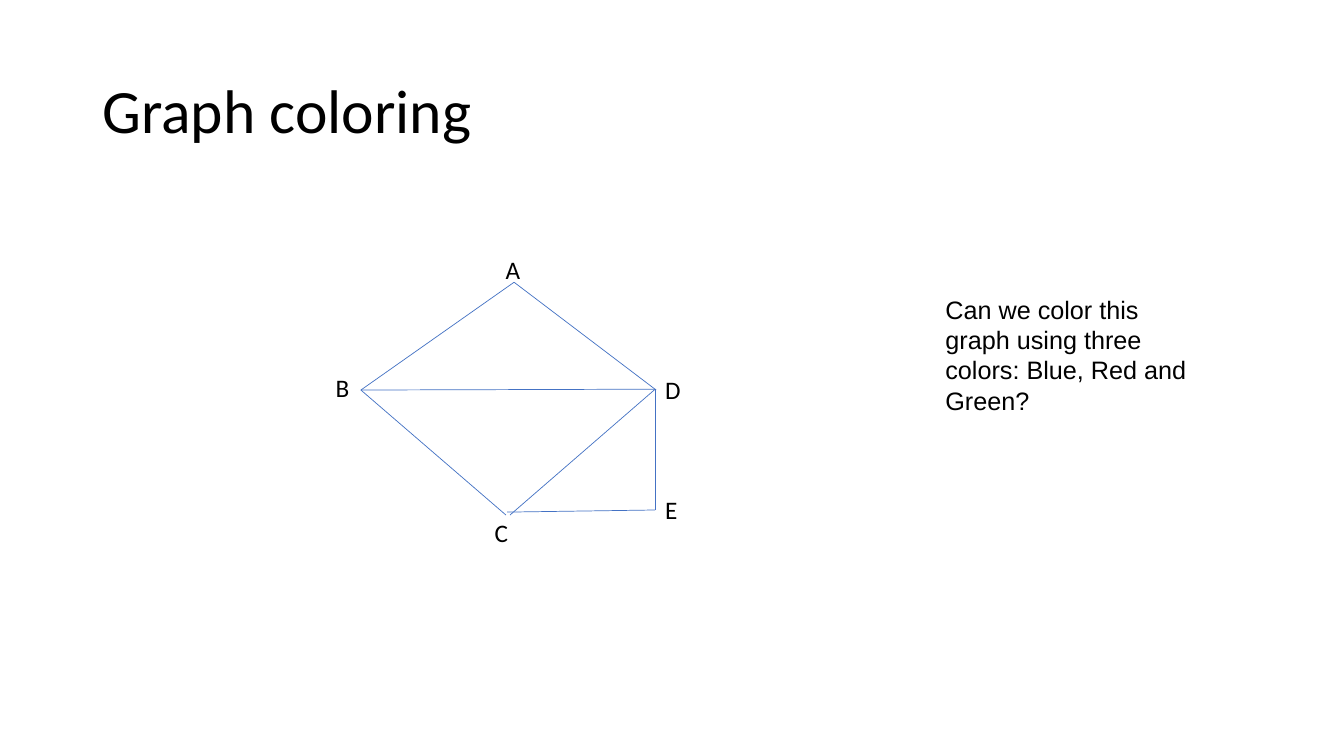
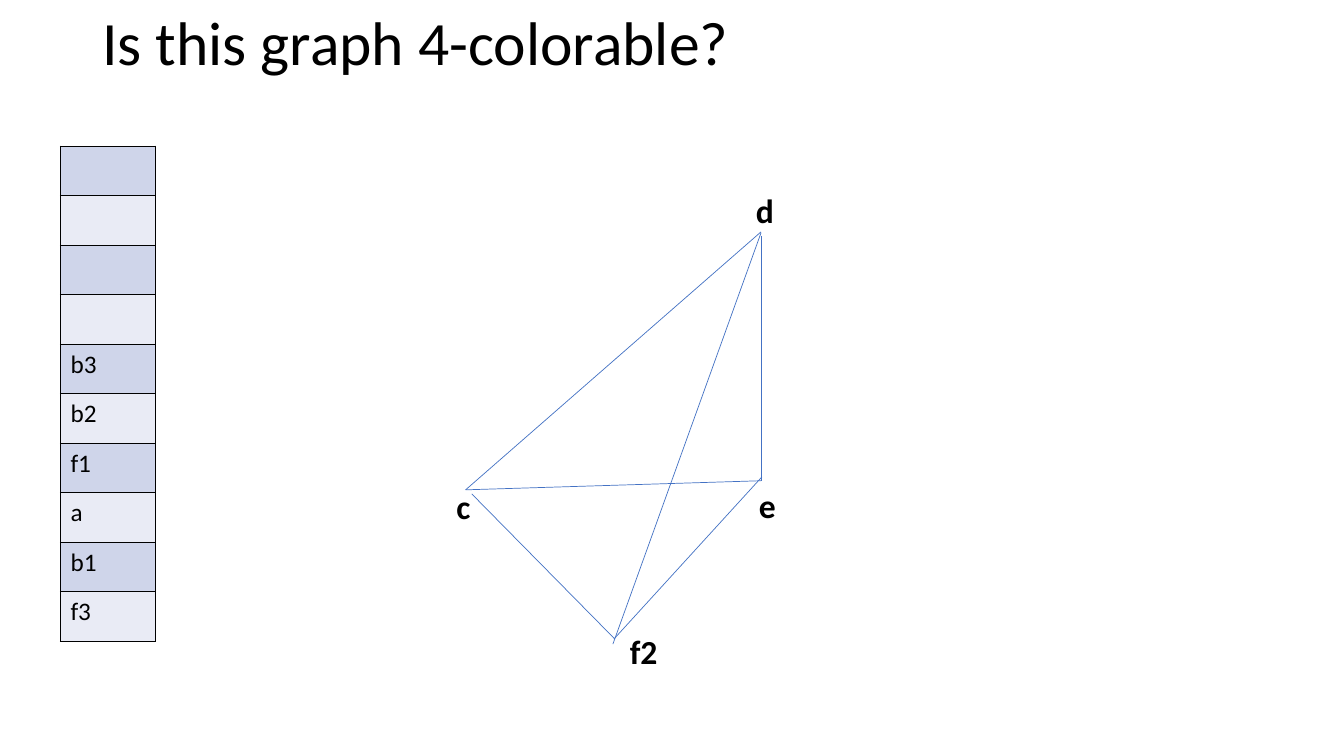
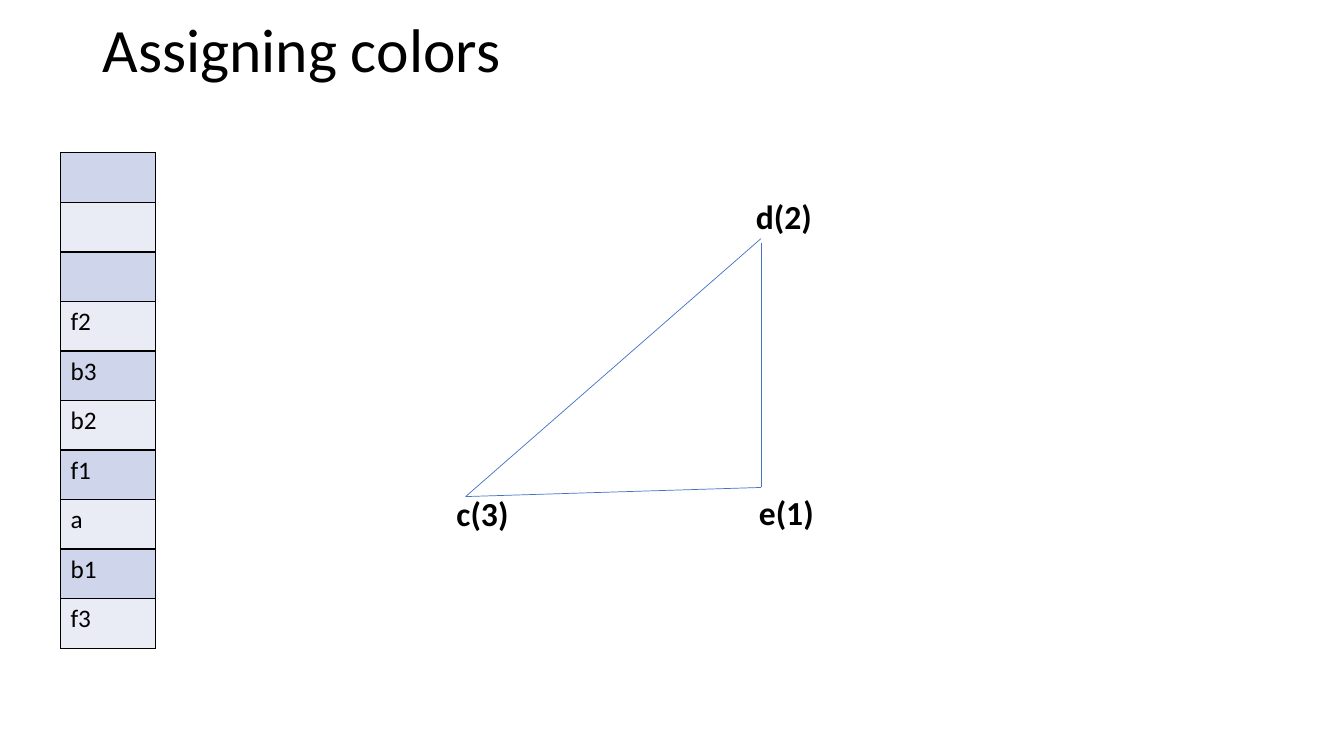
from dataclasses import dataclass
from lxml.etree import SubElement
from pptx import Presentation
from pptx.dml.color import RGBColor
from pptx.enum.shapes import MSO_CONNECTOR
from pptx.enum.text import MSO_ANCHOR, MSO_AUTO_SIZE, PP_ALIGN
from pptx.oxml.ns import qn
from pptx.util import Pt


@dataclass(frozen=True)
class Theme:
    ink: str = "000000"
    edge: str = "4472C4"
    bands: tuple = ("CFD5EA", "E9EBF5")
    font: str = "Calibri"
    prose: str = "Arial"
    title: int = 44
    node: int = 24
    body: int = 18
    rule: float = 0.5
    border: int = 1


THEME = Theme()
DROP = 4.8  # how much lower the last slide sits than the one before

# Nodes are (x, y) corners of labels; edges are (x1, y1, x2, y2)
FIVE_NODES = {"A": (354.2, 177.8), "B": (232.6, 262.1), "C": (346.3, 365.8),
              "D": (468, 263.5), "E": (468, 349.9)}
FIVE_EDGES = [
    (257.8, 278.6, 367.2, 201.6),
    (367.2, 201.6, 468.7, 278.6),
    (257.8, 278.6, 361.4, 367.9),
    (257.8, 278.6, 468, 278),
    (364.3, 367.9, 468, 278),
    (362.2, 365.8, 468, 364.3),
    (468, 278, 468, 364.3),
]
CORE_NODES = {"d": (532.8, 131.8), "e": (535, 342.7), "c": (319, 343.4)}
CORE_EDGES = [
    (332.6, 349.9, 543.6, 165.6),
    (543.6, 168.5, 543.6, 343.4),
    (332.6, 349.9, 543.6, 343.4),
]
LAST_NODE = {"f2": (442.8, 447.1)}
LAST_EDGES = [
    (543.6, 166.3, 437.8, 460.1),
    (337, 352.8, 439.2, 456.5),
    (544.3, 340.6, 438.5, 456.5),
]
STACK = ["b3", "b2", "f1", "a", "b1", "f3"]
DEPTH = 10


def style(frame, size, font=THEME.font, bold=False):
    for para in frame.paragraphs:
        for run in para.runs:
            run.font.size = Pt(size)
            run.font.name = font
            run.font.bold = bold
            run.font.color.rgb = RGBColor.from_string(THEME.ink)


def add_slide(deck, text, top):
    slide = deck.slides.add_slide(deck.slide_layouts[5])
    title = slide.shapes.title
    title.left, title.top = Pt(66), Pt(top)
    title.width, title.height = Pt(828), Pt(104.4)
    frame = title.text_frame
    frame.text = text
    frame.auto_size = MSO_AUTO_SIZE.NONE
    frame.vertical_anchor = MSO_ANCHOR.MIDDLE
    frame.paragraphs[0].alignment = PP_ALIGN.LEFT
    frame.paragraphs[0].line_spacing = 0.9
    style(frame, THEME.title)
    return slide


def add_text(slide, text, x, y, wide, high, size, **look):
    box = slide.shapes.add_textbox(Pt(x), Pt(y), Pt(wide), Pt(high))
    frame = box.text_frame
    frame.word_wrap = True
    frame.text = text
    style(frame, size, **look)


def add_edge(slide, x1, y1, x2, y2):
    line = slide.shapes.add_connector(
        MSO_CONNECTOR.STRAIGHT, Pt(x1), Pt(y1), Pt(x2), Pt(y2))
    line.line.color.rgb = RGBColor.from_string(THEME.edge)
    line.line.width = Pt(THEME.rule)
    SubElement(line._element.spPr, qn("a:effectLst"))


def add_graph(slide, nodes, edges, wide, high, size, bold=False, drop=0):
    for x1, y1, x2, y2 in edges:
        add_edge(slide, x1, y1 + drop, x2, y2 + drop)
    for name, (x, y) in nodes.items():
        add_text(slide, name, x, y + drop, wide, high, size, bold=bold)


def add_border(cell):
    props = cell._tc.get_or_add_tcPr()
    for side in ("a:lnL", "a:lnR", "a:lnT", "a:lnB"):
        line = SubElement(props, qn(side), w=str(Pt(THEME.border)))
        fill = SubElement(line, qn("a:solidFill"))
        SubElement(fill, qn("a:srgbClr"), val=THEME.ink)


def add_stack(slide, items, drop=0):
    """Draw the stack as one column, filled from the bottom up."""
    row = 35.4
    table = slide.shapes.add_table(
        DEPTH, 1, Pt(43.2), Pt(104.4 + drop), Pt(67.7), Pt(row * DEPTH)).table
    table.first_row = table.horz_banding = False
    texts = [""] * (DEPTH - len(items)) + items
    for i, text in enumerate(texts):
        table.rows[i].height = Pt(row)
        cell = table.cell(i, 0)
        add_border(cell)
        cell.fill.solid()
        cell.fill.fore_color.rgb = RGBColor.from_string(THEME.bands[i % 2])
        if text:
            cell.text_frame.text = text
            style(cell.text_frame, THEME.body)


def main():
    deck = Presentation()
    deck.slide_width, deck.slide_height = Pt(960), Pt(540)

    slide = add_slide(deck, "Graph coloring", 28.8)
    add_graph(slide, FIVE_NODES, FIVE_EDGES, 93.6, 28.8, THEME.body)
    add_text(slide, "Can we color this graph using three colors: "
             "Blue, Red and Green?", 668.2, 206.6, 193.7, 94.3,
             THEME.body, font=THEME.prose)

    slide = add_slide(deck, "Is this graph 4-colorable?", -19.4)
    add_graph(slide, CORE_NODES | LAST_NODE, CORE_EDGES + LAST_EDGES,
              62.6, 36, THEME.node, bold=True)
    add_stack(slide, STACK)

    slide = add_slide(deck, "Assigning colors", -19.4 + DROP)
    colors = {"d": 2, "e": 1, "c": 3}
    nodes = {f"{name}({colors[name]})": spot
             for name, spot in CORE_NODES.items()}
    add_graph(slide, nodes, CORE_EDGES, 62.6, 36, THEME.node,
              bold=True, drop=DROP)
    add_stack(slide, ["f2"] + STACK, drop=DROP)

    deck.save("out.pptx")


if __name__ == "__main__":
    main()
